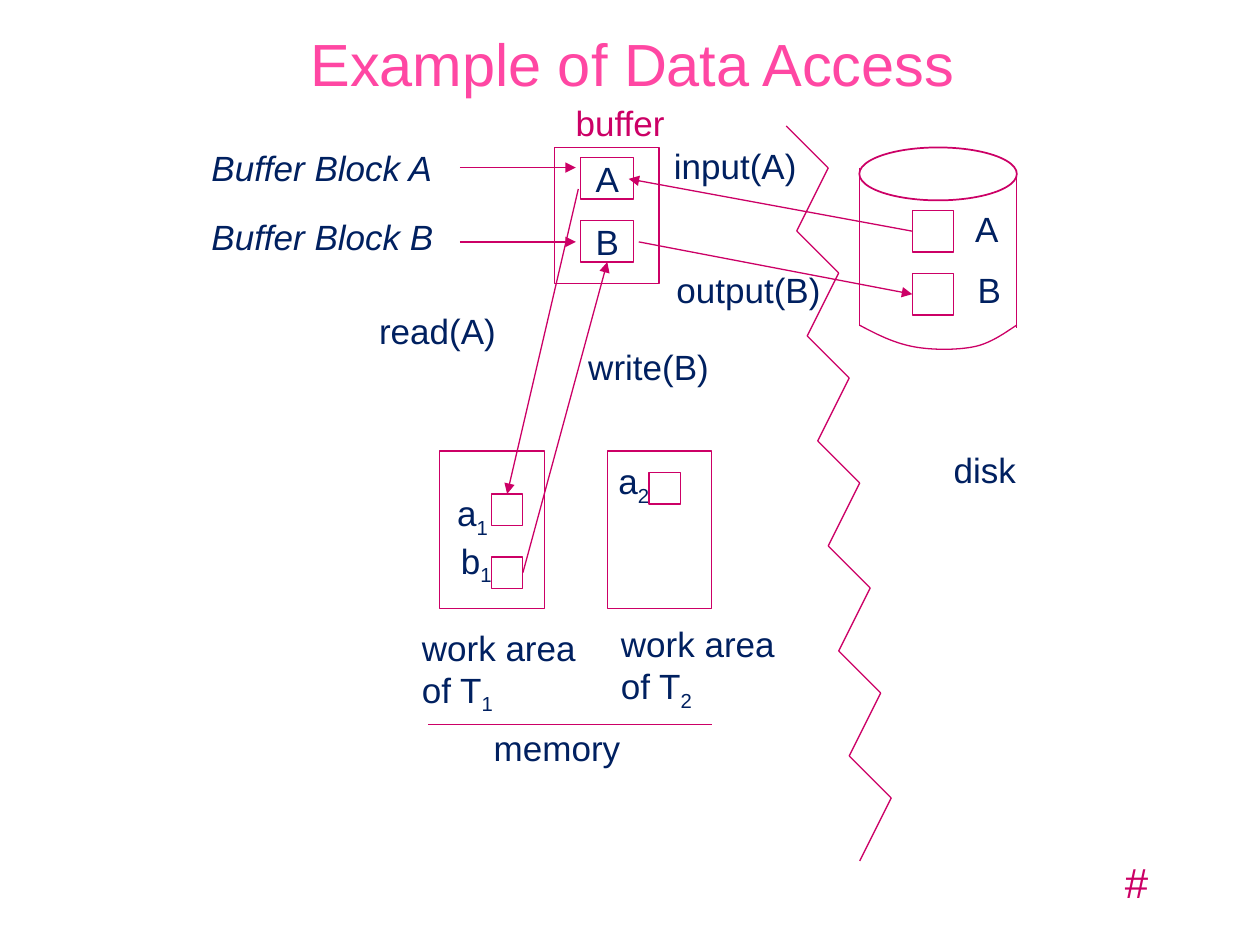
from lxml.etree import SubElement
from pptx import Presentation
from pptx.dml.color import RGBColor
from pptx.enum.shapes import MSO_CONNECTOR, MSO_SHAPE
from pptx.enum.text import MSO_ANCHOR, MSO_AUTO_SIZE, PP_ALIGN
from pptx.oxml.ns import qn
from pptx.util import Inches, Pt

COLORS = {"title": "FF47A3", "line": "CC0066", "text": "002060"}
FONT = "Arial"
TOP, LEFT, BOTTOM, RIGHT = range(4)


def color(name):
    return RGBColor.from_string(COLORS[name])


def add_run(paragraph, text, size=20, color_name="text", italic=None, subscript=False):
    run = paragraph.add_run()
    run.text = text
    run.font.name = FONT
    run.font.size = Pt(size)
    run.font.color.rgb = color(color_name)
    run.font.italic = italic
    if subscript:
        run.font._element.set("baseline", "-25000")


def add_title(slide, text):
    title = slide.shapes.title
    title.left, title.top = Inches(0.77), Inches(0)
    title.width, title.height = Inches(8.5), Inches(1)
    title.text_frame.vertical_anchor = MSO_ANCHOR.MIDDLE
    paragraph = title.text_frame.paragraphs[0]
    paragraph.alignment = PP_ALIGN.CENTER
    add_run(paragraph, text, 34, "title")


def add_label(slide, box, text, subscript=None, wrap=False, **style):
    """Add a label; each line of text is a paragraph, the subscript ends the last."""
    frame = slide.shapes.add_textbox(*map(Inches, box)).text_frame
    frame.word_wrap = wrap
    frame.auto_size = MSO_AUTO_SIZE.SHAPE_TO_FIT_TEXT
    for index, line in enumerate(text.split("\n")):
        paragraph = frame.add_paragraph() if index else frame.paragraphs[0]
        add_run(paragraph, line, **style)
    if subscript:
        add_run(paragraph, subscript, subscript=True, **style)


def style_outline(shape, width=0.75):
    shape.shadow.inherit = False
    shape.fill.background()
    shape.line.color.rgb = color("line")
    shape.line.width = Pt(width)


def add_outline(slide, box, text=None, kind=MSO_SHAPE.RECTANGLE, width=0.75):
    shape = slide.shapes.add_shape(kind, *map(Inches, box))
    style_outline(shape, width)
    if text:
        frame = shape.text_frame
        frame.word_wrap = False
        frame.vertical_anchor = MSO_ANCHOR.MIDDLE
        frame.paragraphs[0].alignment = PP_ALIGN.CENTER
        add_run(frame.paragraphs[0], text)
    return shape


def add_line(slide, start, end, arrow=False, begin_at=None, end_at=None):
    """Add a line; begin_at and end_at are (shape, side) pairs to join."""
    line = slide.shapes.add_connector(
        MSO_CONNECTOR.STRAIGHT, *map(Inches, (*start, *end)))
    line.line.color.rgb = color("line")
    line.line.width = Pt(0.75)
    if arrow:
        SubElement(line.line._get_or_add_ln(), qn("a:tailEnd"), type="triangle")
    SubElement(line._element.spPr, qn("a:effectLst"))
    if begin_at:
        line.begin_connect(*begin_at)
    if end_at:
        line.end_connect(*end_at)


def add_curve(slide, start, segments, steps=12):
    """Draw cubic segments, each given as two control points and an end point."""
    points = []
    origin = start
    for control_1, control_2, end in segments:
        for step in range(1, steps + 1):
            t = step / steps
            weights = ((1 - t) ** 3, 3 * t * (1 - t) ** 2, 3 * t ** 2 * (1 - t), t ** 3)
            knots = (origin, control_1, control_2, end)
            points.append(tuple(
                Inches(sum(w * knot[axis] for w, knot in zip(weights, knots)))
                for axis in (0, 1)))
        origin = end
    builder = slide.shapes.build_freeform(*map(Inches, start))
    builder.add_line_segments(points, close=False)
    style_outline(builder.convert_to_shape())


def add_disk(slide):
    add_outline(slide, (6.82, 1.17, 1.25, 0.42), kind=MSO_SHAPE.OVAL, width=1)
    add_line(slide, (6.82, 1.33), (6.82, 2.58))
    add_line(slide, (8.07, 1.35), (8.07, 2.6))
    add_curve(slide, (6.82, 2.58), [
        ((6.95, 2.65), (7.09, 2.72), (7.24, 2.75)),
        ((7.39, 2.78), (7.6, 2.78), (7.74, 2.75)),
        ((7.88, 2.72), (8.02, 2.61), (8.07, 2.58)),
    ])
    blocks = [add_outline(slide, (7.24, top, 0.33, 0.33)) for top in (1.67, 2.17)]
    add_label(slide, (7.64, 1.6, 0.45, 0.44), "A")
    add_label(slide, (7.66, 2.08, 0.45, 0.44), "B")
    add_label(slide, (7.47, 3.51, 0.8, 0.44), "disk")
    return blocks


def add_buffer(slide):
    add_outline(slide, (4.4, 1.17, 0.83, 1.08))
    add_label(slide, (4.47, 0.76, 1, 0.44), "buffer", color_name="line")
    add_outline(slide, (4.61, 1.25, 0.42, 0.33), "A")
    block_b = add_outline(slide, (4.61, 1.75, 0.42, 0.33), "B")
    for name, top, arrow_y in (("A", 1.11, 1.33), ("B", 1.66, 1.92)):
        add_label(slide, (1.58, top, 2.06, 0.44), f"Buffer Block {name}", italic=True)
        add_line(slide, (3.65, arrow_y), (4.57, arrow_y), arrow=True)
    return block_b


def add_memory(slide):
    for left in (3.49, 4.82):
        add_outline(slide, (left, 3.58, 0.83, 1.25))
    item_a1, item_b1, _ = [
        add_outline(slide, (left, top, 0.25, 0.25))
        for left, top in ((3.9, 3.92), (3.9, 4.42), (5.15, 3.75))]
    add_label(slide, (3.53, 3.85, 0.55, 0.48), "a", "1")
    add_label(slide, (3.56, 4.23, 0.55, 0.48), "b", "1")
    add_label(slide, (4.81, 3.6, 0.55, 0.48), "a", "2")
    add_label(slide, (3.25, 4.92, 1.5, 0.82), "work area\nof T", "1", wrap=True)
    add_label(slide, (4.83, 4.89, 1.5, 0.82), "work area\nof T", "2")
    add_line(slide, (3.4, 5.75), (5.65, 5.75))
    add_label(slide, (3.82, 5.72, 1.3, 0.44), "memory")
    return item_a1, item_b1


def add_divider(slide, teeth=7):
    """Zigzag between memory and disk, drifting right with each tooth."""
    for tooth in range(teeth):
        x, y = 6.24 + tooth / 12, 1 + tooth * 5 / 6
        tip = (x + 1 / 3, y + 1 / 3)
        add_line(slide, (x, y), tip)
        add_line(slide, tip, (x + 1 / 12, y + 5 / 6))


def main():
    presentation = Presentation()
    presentation.slide_width, presentation.slide_height = Inches(10), Inches(7.5)
    slide = presentation.slides.add_slide(presentation.slide_layouts[5])

    add_title(slide, "Example of Data Access")
    add_label(slide, (8.83, 6.75, 0.45, 0.5), "#", size=24, color_name="line")

    # Storage areas
    buffer_b = add_buffer(slide)
    disk_a, disk_b = add_disk(slide)
    item_a1, item_b1 = add_memory(slide)
    add_divider(slide)

    # Transfers between the areas
    add_line(slide, (7.24, 1.83), (4.99, 1.42), True, begin_at=(disk_a, LEFT))
    add_line(slide, (5.07, 1.92), (7.24, 2.33), True, end_at=(disk_b, LEFT))
    add_line(slide, (4.59, 1.5), (4.01, 3.92), True, end_at=(item_a1, TOP))
    add_line(slide, (4.15, 4.58), (4.82, 2.08), True,
             begin_at=(item_b1, RIGHT), end_at=(buffer_b, BOTTOM))
    add_label(slide, (5.25, 1.1, 1.3, 0.44), "input(A)")
    add_label(slide, (5.27, 2.08, 1.45, 0.44), "output(B)")
    add_label(slide, (2.91, 2.41, 1.25, 0.44), "read(A)")
    add_label(slide, (4.57, 2.69, 1.25, 0.44), "write(B)")

    presentation.save("out.pptx")


if __name__ == "__main__":
    main()
